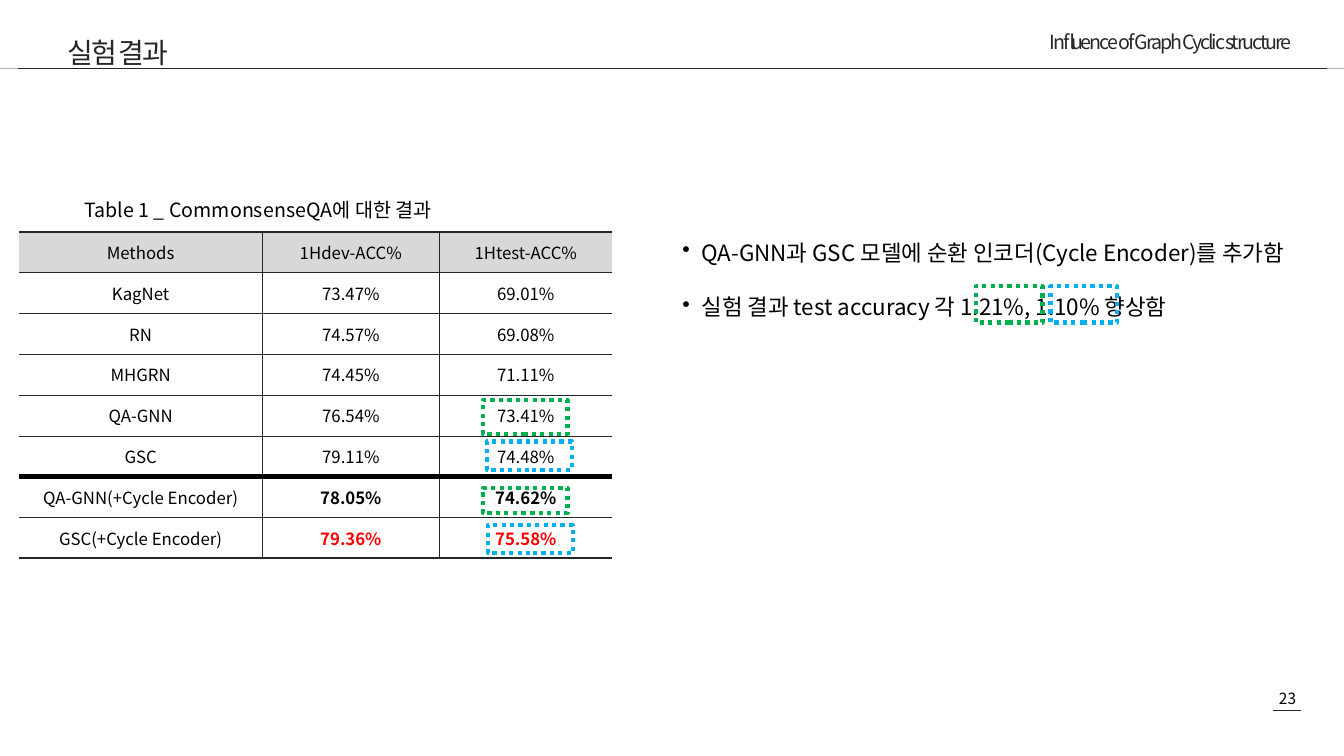
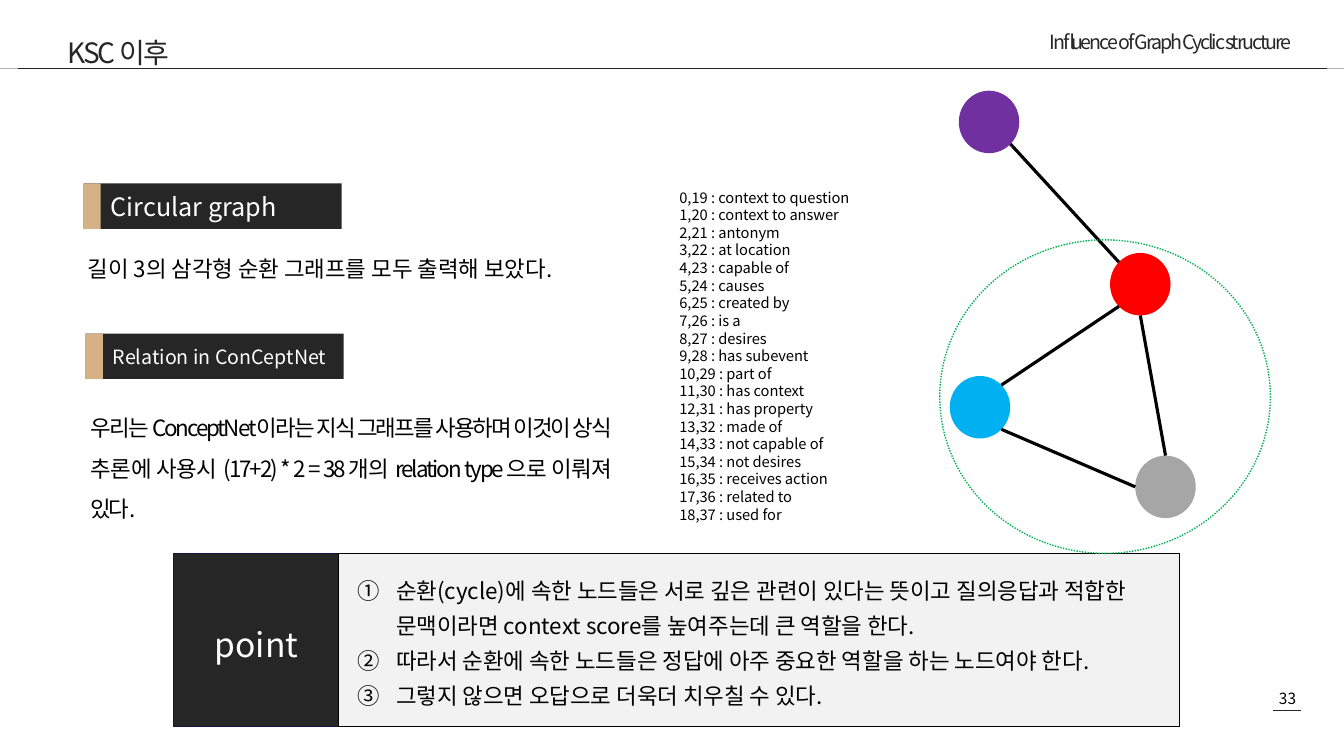
from math import cos, radians, sin

from lxml.etree import SubElement
from pptx import Presentation
from pptx.dml.color import RGBColor
from pptx.enum.dml import MSO_LINE
from pptx.enum.shapes import MSO_CONNECTOR, MSO_SHAPE
from pptx.enum.text import MSO_ANCHOR, PP_ALIGN
from pptx.oxml import parse_xml
from pptx.oxml.ns import nsdecls, qn
from pptx.util import Inches, Pt

# Shared look
FONT = "Noto Sans CJK KR"
BLACK = RGBColor(0x00, 0x00, 0x00)
WHITE = RGBColor(0xFF, 0xFF, 0xFF)
INK = RGBColor(0x26, 0x26, 0x26)
NAVY = RGBColor(0x0F, 0x16, 0x42)
TAN = RGBColor(0xD5, 0xB1, 0x86)
PALE = RGBColor(0xF2, 0xF2, 0xF2)
HEADER_GRAY = RGBColor(0xD8, 0xD8, 0xD8)
GRAY = RGBColor(0xA6, 0xA6, 0xA6)
RED = RGBColor(0xFF, 0x00, 0x00)
GREEN = RGBColor(0x00, 0xB0, 0x50)
BLUE = RGBColor(0x00, 0xB0, 0xF0)
PURPLE = RGBColor(0x70, 0x30, 0xA0)
TIGHT = -1.5
DOT = f'<a:buChar {nsdecls("a")} char="•"/>'
CIRCLED = f'<a:buAutoNum {nsdecls("a")} type="circleNumDbPlain"/>'
RUNNING_HEAD = "Influence of Graph Cyclic structure"

# Results slide
CAPTION = "Table 1 _ CommonsenseQA에 대한 결과"
RESULTS = [
    ("Methods", "1Hdev-ACC%", "1Htest-ACC%"),
    ("KagNet", "73.47%", "69.01%"),
    ("RN", "74.57%", "69.08%"),
    ("MHGRN", "74.45%", "71.11%"),
    ("QA-GNN", "76.54%", "73.41%"),
    ("GSC", "79.11%", "74.48%"),
    ("QA-GNN(+Cycle Encoder)", "78.05%", "74.62%"),
    ("GSC(+Cycle Encoder)", "79.36%", "75.58%"),
]
COLUMN_WIDTHS = (2.41, 1.76, 1.71)
BASELINE_END = 6  # first row of the proposed models
FINDINGS = [
    "QA-GNN과 GSC 모델에 순환 인코더(Cycle Encoder)를 추가함",
    "실험 결과 test accuracy 각 1.21%, 1.10% 향상함",
]
HIGHLIGHTS = [
    (GREEN, [(4.79, 3.97, 0.84, 0.34), (4.79, 4.84, 0.84, 0.25), (9.68, 2.84, 0.66, 0.36)]),
    (BLUE, [(4.83, 4.38, 0.84, 0.28), (4.84, 5.21, 0.84, 0.28), (10.42, 2.84, 0.66, 0.36)]),
]

# Follow-up slide
SECTIONS = [
    ("Circular graph", 18, 0.83, 1.82),
    ("Relation in ConCeptNet", 14, 0.85, 3.31),
]
TRIANGLES = "길이 3의 삼각형 순환 그래프를 모두 출력해 보았다."
CONCEPTNET = ("우리는 ConceptNet이라는 지식 그래프를 사용하며 이것이 상식 추론에 사용시 "
              "(17+2) * 2 = 38개의 relation type으로 이뤄져 있다.")
RELATIONS = [
    "context to question", "context to answer", "antonym", "at location",
    "capable of", "causes", "created by", "is a", "desires", "has subevent",
    "part of", "has context", "has property", "made of", "not capable of",
    "not desires", "receives action", "related to", "used for",
]
POINTS = [
    "순환(cycle)에 속한 노드들은 서로 깊은 관련이 있다는 뜻이고 질의응답과 적합한 "
    "문맥이라면 context score를 높여주는데 큰 역할을 한다.",
    "따라서 순환에 속한 노드들은 정답에 아주 중요한 역할을 하는 노드여야 한다.",
    "그렇지 않으면 오답으로 더욱더 치우칠 수 있다.",
]
NODE_SIZE = (0.6, 0.62)
NODES = {  # centre and colour
    "purple": (9.81, 1.21, PURPLE),
    "blue": (9.72, 4.04, BLUE),
    "gray": (11.56, 4.83, GRAY),
    "red": (11.31, 2.82, RED),
}
EDGES = [  # node and angle at each end, clockwise from the right
    ("purple", 45, "red", 225),
    ("blue", 315, "red", 135),
    ("gray", 180, "blue", 45),
    ("gray", 270, "red", 90),
]


def style_run(para, text, size, color=BLACK, bold=None, tracking=None):
    span = para.add_run()
    span.text = text
    font = span.font
    font.size, font.bold = Pt(size), bold
    font.color.rgb = color
    font.name = FONT
    props = span._r.get_or_add_rPr()
    SubElement(props, qn("a:ea")).set("typeface", FONT)
    if tracking:
        props.set("spc", str(int(tracking * 100)))


def fill_text(frame, lines, size, color=BLACK, align=None, anchor=MSO_ANCHOR.TOP,
              spacing=None, before=0, bullet=None, indent=0, hang=0, tracking=None):
    frame.word_wrap = True
    frame.vertical_anchor = anchor
    for index, line in enumerate(lines):
        para = frame.add_paragraph() if index else frame.paragraphs[0]
        if bullet:
            props = para._p.get_or_add_pPr()
            props.set("marL", str(Inches(indent)))
            props.set("indent", str(-Inches(hang)))
            props.append(parse_xml(bullet))
        para.alignment = align
        if spacing:
            para.line_spacing = spacing
        if index and before:
            para.space_before = Pt(before)
        style_run(para, line, size, color, tracking=tracking)


def add_text(page, place, lines, size, **options):
    box = page.shapes.add_textbox(*map(Inches, place))
    fill_text(box.text_frame, lines, size, **options)


def add_block(page, place, fill=None, line=None, width=1, dotted=False,
              kind=MSO_SHAPE.RECTANGLE):
    block = page.shapes.add_shape(kind, *map(Inches, place))
    block.shadow.inherit = False
    if fill is None:
        block.fill.background()
    else:
        block.fill.solid()
        block.fill.fore_color.rgb = fill
    if line is None:
        block.line.fill.background()
    else:
        block.line.color.rgb = line
        block.line.width = Pt(width)
        if dotted:
            block.line.dash_style = MSO_LINE.ROUND_DOT
    return block


def add_line(page, start, end, color, width):
    line = page.shapes.add_connector(MSO_CONNECTOR.STRAIGHT, *map(Inches, (*start, *end)))
    line.line.color.rgb = color
    line.line.width = Pt(width)
    SubElement(line._element.spPr, qn("a:effectLst"))


def add_page(deck, title, number):
    page = deck.slides.add_slide(deck.slide_layouts[6])
    # Footer and header
    add_text(page, (12.43, 6.79, 0.68, 0.29), [number], 11, align=PP_ALIGN.CENTER)
    add_line(page, (12.63, 7.05), (12.9, 7.05), INK, 0.5)
    add_text(page, (7.16, 0.25, 5.75, 0.33), [RUNNING_HEAD], 14, color=INK,
             align=PP_ALIGN.RIGHT, tracking=TIGHT)
    add_block(page, (0, 0.68, 13.33, 0), INK)
    add_line(page, (0.18, 0.68), (13.16, 0.68), INK, 0.5)
    add_text(page, (0.57, 0.13, 6.1, 0.68), [title], 20, color=INK,
             anchor=MSO_ANCHOR.MIDDLE, spacing=1.3, tracking=TIGHT)
    return page


def set_borders(cell, **borders):
    props = cell._tc.get_or_add_tcPr()
    for index, side in enumerate("LRTB"):
        width, color = borders[side]
        paint = "<a:noFill/>"
        if width:
            paint = f'<a:solidFill><a:srgbClr val="{color}"/></a:solidFill>'
        props.insert(index, parse_xml(
            f'<a:ln{side} {nsdecls("a")} w="{int(Pt(width))}">{paint}</a:ln{side}>'))


def add_results_table(page):
    rows, columns = len(RESULTS), len(COLUMN_WIDTHS)
    place = map(Inches, (0.19, 2.3, sum(COLUMN_WIDTHS), 3.24))
    table = page.shapes.add_table(rows, columns, *place).table
    table.first_row = table.horz_banding = False
    for column, width in zip(table.columns, COLUMN_WIDTHS):
        column.width = Inches(width)
    # Horizontal rules, top to bottom
    rules = [(0.5, INK)] * (rows + 1)
    rules[0] = rules[rows] = (1.5, INK)
    rules[BASELINE_END] = (4.5, BLACK)
    walls = [(0, INK)] + [(0.5, INK)] * (columns - 1) + [(0, INK)]
    for r, values in enumerate(RESULTS):
        for c, value in enumerate(values):
            cell = table.cell(r, c)
            cell.vertical_anchor = MSO_ANCHOR.MIDDLE
            if r == 0:
                cell.fill.solid()
                cell.fill.fore_color.rgb = HEADER_GRAY
            else:
                cell.fill.background()
            para = cell.text_frame.paragraphs[0]
            para.alignment = PP_ALIGN.CENTER
            best = r == rows - 1 and c > 0
            style_run(para, value, 12, RED if best else BLACK,
                      bold=r >= BASELINE_END and c > 0)
            set_borders(cell, L=walls[c], R=walls[c + 1], T=rules[r], B=rules[r + 1])


def build_results(deck):
    page = add_page(deck, "실험 결과", "23")
    add_text(page, (0.74, 1.8, 5.77, 0.42), [CAPTION], 14, spacing=1.5)
    add_results_table(page)
    add_text(page, (6.67, 2.19, 6.66, 2.03), FINDINGS, 16, align=PP_ALIGN.JUSTIFY,
             spacing=1.5, before=10, bullet=DOT, indent=0.19, hang=0.19)
    for color, places in HIGHLIGHTS:
        for place in places:
            add_block(page, place, line=color, width=3, dotted=True)


def rim_point(name, angle):
    x, y, _ = NODES[name]
    width, height = NODE_SIZE
    turn = radians(angle)
    return x + width / 2 * cos(turn), y + height / 2 * sin(turn)


def add_graph(page):
    width, height = NODE_SIZE
    for x, y, color in NODES.values():
        add_block(page, (x - width / 2, y - height / 2, width, height), color,
                  kind=MSO_SHAPE.OVAL)
    for first, leave, second, arrive in EDGES:
        add_line(page, rim_point(first, leave), rim_point(second, arrive), BLACK, 2.25)
    add_block(page, (9.32, 2.38, 3.28, 3.11), line=GREEN, dotted=True, kind=MSO_SHAPE.OVAL)


def build_follow_up(deck):
    page = add_page(deck, "KSC 이후", "33")
    # Point panel
    label = add_block(page, (1.72, 5.49, 1.65, 1.72), INK, NAVY)
    fill_text(label.text_frame, ["point"], 24, color=WHITE, align=PP_ALIGN.CENTER,
              anchor=MSO_ANCHOR.MIDDLE, spacing=1.2)
    add_block(page, (3.36, 5.49, 8.34, 1.72), PALE, BLACK)
    add_text(page, (3.36, 5.6, 8.34, 1.46), POINTS, 16, spacing=1.3,
             bullet=CIRCLED, indent=0.47, hang=0.38)
    # Section labels and their text
    for heading, size, left, top in SECTIONS:
        add_block(page, (left, top, 2.56, 0.45), INK)
        add_block(page, (left, top, 0.17, 0.45), TAN)
        add_text(page, (left + 0.17, top, 2.47, 0.45), [heading], size, color=WHITE,
                 anchor=MSO_ANCHOR.MIDDLE)
    add_text(page, (0.77, 2.35, 5.35, 0.6), [TRIANGLES], 16,
             align=PP_ALIGN.JUSTIFY, spacing=1.5)
    add_text(page, (0.8, 3.93, 5.35, 1.4), [CONCEPTNET], 16,
             align=PP_ALIGN.JUSTIFY, spacing=1.5, tracking=TIGHT)
    # Each relation has a number and an inverse number
    relations = [f"{i},{i + len(RELATIONS)} : {name}" for i, name in enumerate(RELATIONS)]
    add_text(page, (6.64, 1.82, 2.24, 3.46), relations, 10.5)
    add_graph(page)


def main():
    deck = Presentation()
    deck.slide_width, deck.slide_height = Inches(13.33), Inches(7.5)
    build_results(deck)
    build_follow_up(deck)
    deck.save("out.pptx")


if __name__ == "__main__":
    main()
